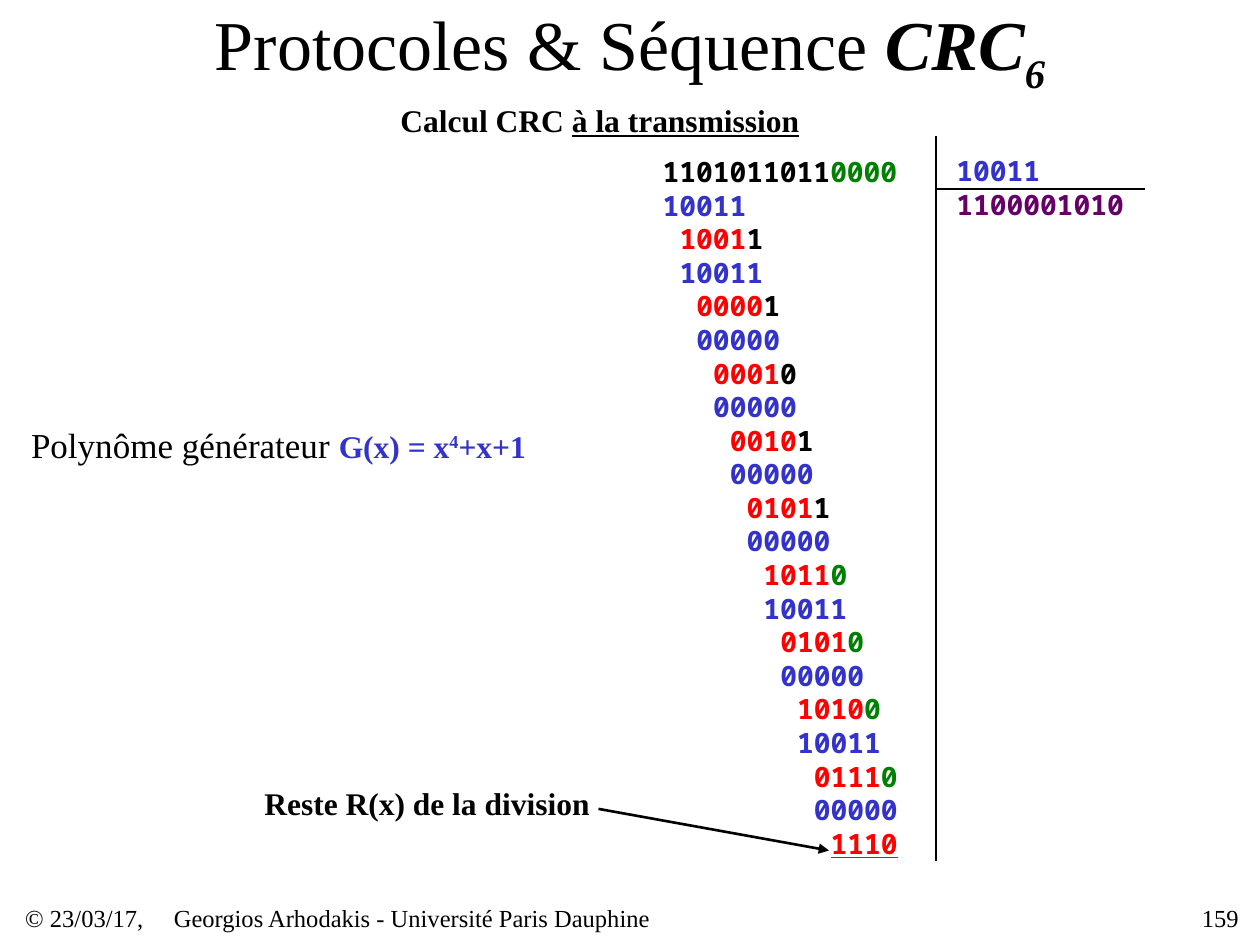
from pptx import Presentation
from pptx.dml.color import RGBColor
from pptx.enum.shapes import MSO_CONNECTOR
from pptx.enum.text import MSO_ANCHOR, PP_ALIGN
from pptx.oxml.ns import qn
from pptx.util import Inches, Pt
from lxml import etree

STRAIGHT = MSO_CONNECTOR.STRAIGHT
TOP, MIDDLE = MSO_ANCHOR.TOP, MSO_ANCHOR.MIDDLE
LEFT, CENTER, RIGHT = PP_ALIGN.LEFT, PP_ALIGN.CENTER, PP_ALIGN.RIGHT

SERIF, MONO = "Times New Roman", "Noto Sans Mono"
BLACK, BLUE, RED = "000000", "3333CC", "FF0000"
GREEN, PURPLE = "008000", "660066"

MESSAGE, PADDING, DIVISOR = "1101011011", "0000", "10011"
DIGIT_SIZE = 16
DIGIT_WIDTH = Pt(0.6 * DIGIT_SIZE)


def rgb(color):
    return RGBColor.from_string(color)


def add_run(paragraph, text, size, color=BLACK, font=SERIF, bold=None,
            italic=None, underline=None, baseline=None):
    run = paragraph.add_run()
    run.text = text
    run.font.size = Pt(size)
    run.font.name = font
    run.font.bold = bold
    run.font.italic = italic
    run.font.underline = underline
    run.font.color.rgb = rgb(color)
    if baseline:
        run._r.get_or_add_rPr().set("baseline", str(baseline * 1000))


def add_text_box(slide, left, top, width, height, anchor=MIDDLE,
                 inset=False, wrap=True, align=LEFT):
    """Add an empty text box and return its text frame."""
    box = slide.shapes.add_textbox(Inches(left), Inches(top),
                                   Inches(width), Inches(height))
    frame = box.text_frame
    frame.word_wrap = wrap
    frame.vertical_anchor = anchor
    if not inset:
        frame.margin_left = frame.margin_right = 0
        frame.margin_top = frame.margin_bottom = 0
    frame.paragraphs[0].alignment = align
    return frame


def add_digit_rows(frame, rows):
    """Write (indent, [(digits, color, underline), ...]) rows, one a paragraph."""
    for index, (indent, parts) in enumerate(rows):
        paragraph = frame.add_paragraph() if index else frame.paragraphs[0]
        paragraph.line_spacing = Pt(1.2 * DIGIT_SIZE)
        properties = paragraph._p.get_or_add_pPr()
        properties.set("marL", str(indent * DIGIT_WIDTH))
        properties.set("indent", "0")
        for digits, color, underline in parts:
            add_run(paragraph, digits, DIGIT_SIZE, color, MONO, bold=True,
                    underline=underline)


def division_rows():
    """Carry out the binary long division; return its rows and the quotient."""
    dividend = MESSAGE + PADDING
    size = len(DIVISOR)
    rows = [(0, [(MESSAGE, BLACK, None), (PADDING, GREEN, None)])]
    current, quotient = dividend[:size], ""
    for step in range(len(dividend) - size + 1):
        quotient += current[0]
        subtracted = DIVISOR if current[0] == "1" else "0" * size
        rows.append((step, [(subtracted, BLUE, None)]))
        rest = "".join("01"[a != b] for a, b in zip(current, subtracted))[1:]
        position = step + size
        if position == len(dividend):
            rows.append((step + 1, [(rest, RED, True)]))
        else:
            next_digit = dividend[position]
            color = BLACK if position < len(MESSAGE) else GREEN
            rows.append((step + 1, [(rest, RED, None), (next_digit, color, None)]))
            current = rest + next_digit
    return rows, quotient


def add_line(slide, start, end, width=1, arrow=False):
    line = slide.shapes.add_connector(STRAIGHT, *map(Inches, start + end))
    line.line.color.rgb = rgb(BLACK)
    line.line.width = Pt(width)
    if arrow:
        tail = etree.SubElement(line.line._get_or_add_ln(), qn("a:tailEnd"))
        tail.set("type", "triangle")
    etree.SubElement(line._element.spPr, qn("a:effectLst"))


def add_title(slide):
    title = slide.shapes.title
    title.left, title.top = Inches(0.75), Inches(0)
    title.width, title.height = Inches(8.5), Inches(0.77)
    frame = title.text_frame
    frame.vertical_anchor = MIDDLE
    paragraph = frame.paragraphs[0]
    paragraph.alignment = CENTER
    add_run(paragraph, "Protocoles & Séquence ", 40)
    add_run(paragraph, "CRC", 40, bold=True, italic=True)
    add_run(paragraph, "6", 40, italic=True, bold=True, baseline=-25)


def add_labels(slide):
    subtitle = add_text_box(slide, 3.08, 0.75, 3.37, 0.4, TOP, True, False)
    add_run(subtitle.paragraphs[0], "Calcul CRC ", 18, bold=True)
    add_run(subtitle.paragraphs[0], "à la transmission", 18, bold=True,
            underline=True)

    generator = add_text_box(slide, 0.17, 3.36, 4.08, 0.33, align=CENTER)
    paragraph = generator.paragraphs[0]
    add_run(paragraph, "Polynôme générateur ", 20)
    for text, baseline in (("G(x) = x", None), ("4", 30), ("+x+1", None)):
        add_run(paragraph, text, 18, BLUE, bold=True, baseline=baseline)

    remainder = add_text_box(slide, 2, 6.17, 2.78, 0.4, TOP, True, False)
    add_run(remainder.paragraphs[0], "Reste R(x) de la division", 18, bold=True)


def add_footer(slide):
    for left, width, text, align in (
            (0.2, 1.18, "© 23/03/17,", LEFT),
            (1.38, 5.9, "Georgios Arhodakis - Université Paris Dauphine", LEFT),
            (8.85, 0.98, "159", RIGHT)):
        frame = add_text_box(slide, left, 7.16, width, 0.24, align=align)
        add_run(frame.paragraphs[0], text, 14)


def main():
    presentation = Presentation()
    presentation.slide_width = Inches(10)
    presentation.slide_height = Inches(7.5)
    slide = presentation.slides.add_slide(presentation.slide_layouts[5])

    add_title(slide)
    add_labels(slide)

    # Long division: working on the left, divisor and quotient on the right
    rows, quotient = division_rows()
    add_digit_rows(add_text_box(slide, 5.26, 1.22, 2.07, 5.61), rows)
    add_digit_rows(add_text_box(slide, 7.59, 1.22, 2.07, 0.53),
                   [(0, [(DIVISOR, BLUE, None)]), (0, [(quotient, PURPLE, None)])])
    add_line(slide, (7.43, 1.08), (7.43, 6.83))
    add_line(slide, (7.43, 1.5), (9.09, 1.5))

    # Arrow from the label to the remainder
    add_line(slide, (4.75, 6.42), (6.58, 6.75), 1.5, arrow=True)

    add_footer(slide)
    presentation.save("out.pptx")


if __name__ == "__main__":
    main()
